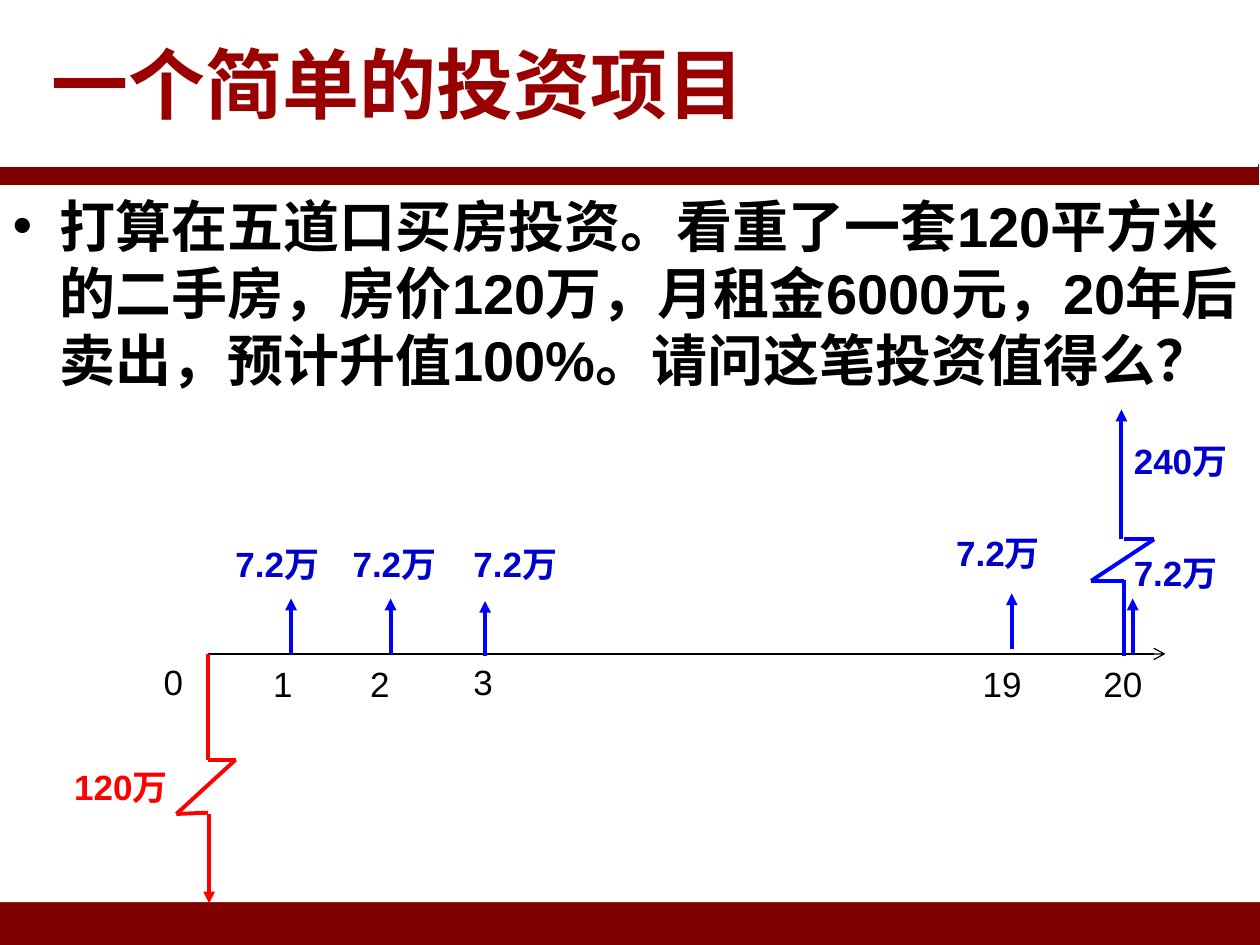
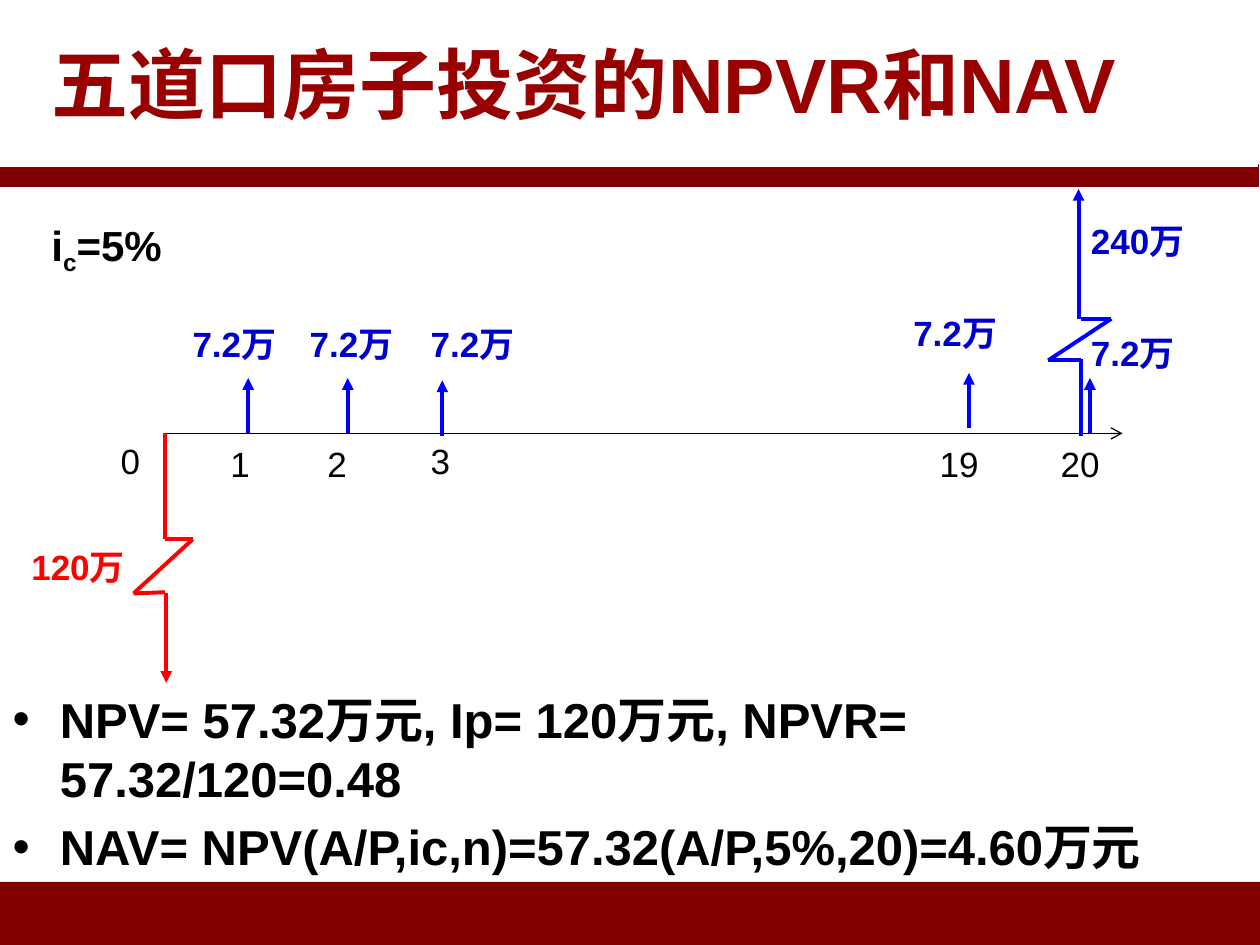
from collections import namedtuple
from dataclasses import dataclass
from itertools import pairwise

from lxml import etree
from pptx import Presentation
from pptx.dml.color import RGBColor
from pptx.enum.shapes import MSO_CONNECTOR, MSO_SHAPE
from pptx.enum.text import MSO_ANCHOR, MSO_AUTO_SIZE, PP_ALIGN
from pptx.oxml.ns import qn
from pptx.util import Inches, Pt

STRAIGHT = MSO_CONNECTOR.STRAIGHT
RECTANGLE = MSO_SHAPE.RECTANGLE
MIDDLE, TOP = MSO_ANCHOR.MIDDLE, MSO_ANCHOR.TOP
FIT_SHAPE, NO_FIT = MSO_AUTO_SIZE.SHAPE_TO_FIT_TEXT, MSO_AUTO_SIZE.NONE
LEFT = PP_ALIGN.LEFT


@dataclass(frozen=True)
class Theme:
    font: str = "Arial"
    band: str = "800000"
    heading: str = "990000"
    paper: str = "FFFFFF"
    ink: str = "000000"
    inflow: str = "0000FF"
    inflow_text: str = "0000CC"
    outflow: str = "FF0000"
    title_size: int = 44
    formula_size: int = 24
    label_size: int = 20
    axis_width: float = 0.75
    flow_width: float = 2.25


Year = namedtuple("Year", "name x base name_dx name_dy rent_dx rent_dy")
YEARS = [
    Year("1", 0.66, 0, -0.24, 0.02, -0.54, -0.93),
    Year("2", 1.45, 0, -0.26, 0.02, -0.40, -0.93),
    Year("3", 2.20, 0.02, -0.19, 0, -0.19, -0.93),
    Year("19", 6.38, -0.04, -0.33, 0.02, -0.54, -1.02),
    Year("20", 7.34, 0, -0.33, 0.02, -0.09, -0.86),
]
RENT_HEIGHT = 0.44


def write(frame, paragraphs, size, color, font, bold=True, gap=0):
    for index, runs in enumerate(paragraphs):
        paragraph = frame.paragraphs[0] if index == 0 else frame.add_paragraph()
        paragraph.alignment = LEFT
        paragraph.space_before = Pt(gap if index else 0)
        for text in runs:
            run = paragraph.add_run()
            run.text = text
            run.font.name = font
            run.font.size = Pt(size)
            run.font.bold = bold
            run.font.color.rgb = RGBColor.from_string(color)


def inches(*lengths):
    return [Inches(length) for length in lengths]


class Deck:
    def __init__(self, theme):
        self.theme = theme
        self.file = Presentation()
        self.file.slide_width, self.file.slide_height = inches(10, 7.5)
        self.slide = None

    def add_slide(self, title, points, size, place):
        self.slide = self.file.slides.add_slide(self.file.slide_layouts[1])
        heading, body = self.slide.placeholders
        self.fill_placeholder(heading, (0.31, 0.01, 8.94, 1.29), MIDDLE,
                              [[title]], self.theme.title_size, self.theme.heading)
        self.fill_placeholder(body, place, TOP, [[point] for point in points],
                              size, self.theme.ink)

    def fill_placeholder(self, holder, place, anchor, paragraphs, size, color):
        holder.left, holder.top, holder.width, holder.height = inches(*place)
        holder.fill.solid()
        holder.fill.fore_color.rgb = RGBColor.from_string(self.theme.paper)
        frame = holder.text_frame
        frame.auto_size = NO_FIT
        frame.vertical_anchor = anchor
        write(frame, paragraphs, size, color, self.theme.font, gap=size * 0.2)

    def add_master_bands(self):
        tree = self.file.slide_master.element.cSld.spTree
        bands = [
            ((0, 7, 10, 0.5), self.theme.band, False),
            ((-0.01, 1.31, 10, 0.17), self.theme.band, True),
            ((-0.02, 0.01, 10, 1.31), self.theme.paper, True),
        ]
        for index, (place, color, outlined) in enumerate(bands):
            band = self.slide.shapes.add_shape(RECTANGLE, *inches(*place))
            band.shadow.inherit = False
            band.fill.solid()
            band.fill.fore_color.rgb = RGBColor.from_string(color)
            if outlined:
                band.line.color.rgb = RGBColor.from_string(color)
                band.line.width = Pt(0.75)
            else:
                band.line.fill.background()
            band.element.nvSpPr.cNvPr.set("id", str(100 + index))
            tree.insert(2 + index, band.element)

    def line(self, start, end, color, width=None, arrow=None, shapes=None):
        shapes = shapes or self.slide.shapes
        stroke = shapes.add_connector(STRAIGHT, *inches(*start, *end))
        stroke.line.color.rgb = RGBColor.from_string(color)
        stroke.line.width = Pt(width or self.theme.flow_width)
        if arrow:
            outline = stroke.element.spPr.find(qn("a:ln"))
            etree.SubElement(outline, qn("a:tailEnd"), type=arrow)
        etree.SubElement(stroke.element.spPr, qn("a:effectLst"))

    def zigzag(self, points, color):
        group = self.slide.shapes.add_group_shape()
        for start, end in pairwise(points):
            self.line(start, end, color, shapes=group.shapes)

    def label(self, runs, at, width, color, size=None, bold=True, height=0.43):
        box = self.slide.shapes.add_textbox(*inches(*at, width, height))
        box.text_frame.word_wrap = True
        box.text_frame.auto_size = FIT_SHAPE
        write(box.text_frame, [runs], size or self.theme.label_size, color,
              self.theme.font, bold=bold)
        return box

    def discount_rate(self, at):
        rate = self.label(["i", "c", "=5%"], at, 1.43, self.theme.ink,
                          size=self.theme.formula_size, height=0.5)
        rate.element.xpath(".//a:rPr")[1].set("baseline", "-25000")

    def cash_flow(self, left, axis):
        theme = self.theme

        def spot(dx, dy):
            return left + dx, axis + dy

        self.line(spot(0, 0), spot(7.6, 0), theme.ink, theme.axis_width, "arrow")

        self.label(["0"], spot(-0.45, 0), 0.3, theme.ink, bold=False)
        for year in YEARS:
            self.label([year.name], spot(year.x + year.name_dx, year.name_dy),
                       0.3 if len(year.name) == 1 else 0.67, theme.ink, bold=False)
            self.line(spot(year.x, year.base), spot(year.x, year.base - RENT_HEIGHT),
                      theme.inflow, arrow="triangle")
            self.label(["7.2万"], spot(year.x + year.rent_dx, year.rent_dy),
                       1.07, theme.inflow_text)

        self.line(spot(0, 0), spot(0, 0.84), theme.outflow)
        self.zigzag([spot(0, 0.84), spot(0.22, 0.84), spot(-0.25, 1.27),
                     spot(0, 1.26)], theme.outflow)
        self.line(spot(0.01, 1.27), spot(0.01, 1.98), theme.outflow, arrow="triangle")
        self.label(["120万"], spot(-1.16, 0.84), 1.49, theme.outflow)

        self.line(spot(7.27, -0.59), spot(7.27, 0.02), theme.inflow)
        self.zigzag([spot(7.27, -0.91), spot(7.51, -0.91), spot(7.01, -0.58),
                     spot(7.27, -0.58)], theme.inflow)
        self.line(spot(7.25, -0.91), spot(7.25, -1.94), theme.inflow, arrow="triangle")
        self.label(["240万"], spot(7.25, -1.75), 1.15, theme.inflow_text)


def main():
    deck = Deck(Theme())

    deck.add_slide(
        "一个简单的投资项目",
        ["打算在五道口买房投资。看重了一套120平方米的二手房，房价120万，"
         "月租金6000元，20年后卖出，预计升值100%。请问这笔投资值得么？"],
        32, (0, 1.47, 10, 5.69))
    deck.add_master_bands()
    deck.cash_flow(1.65, 5.19)

    deck.add_slide(
        "五道口房子投资的NPVR和NAV",
        ["NPV= 57.32万元, Ip= 120万元, NPVR= 57.32/120=0.48",
         "NAV= NPV(A/P,ic,n)=57.32(A/P,5%,20)=4.60万元"],
        28, (0, 5.42, 10, 1.42))
    deck.cash_flow(1.31, 3.44)
    deck.discount_rate((0.31, 1.69))

    deck.file.save("out.pptx")


if __name__ == "__main__":
    main()
